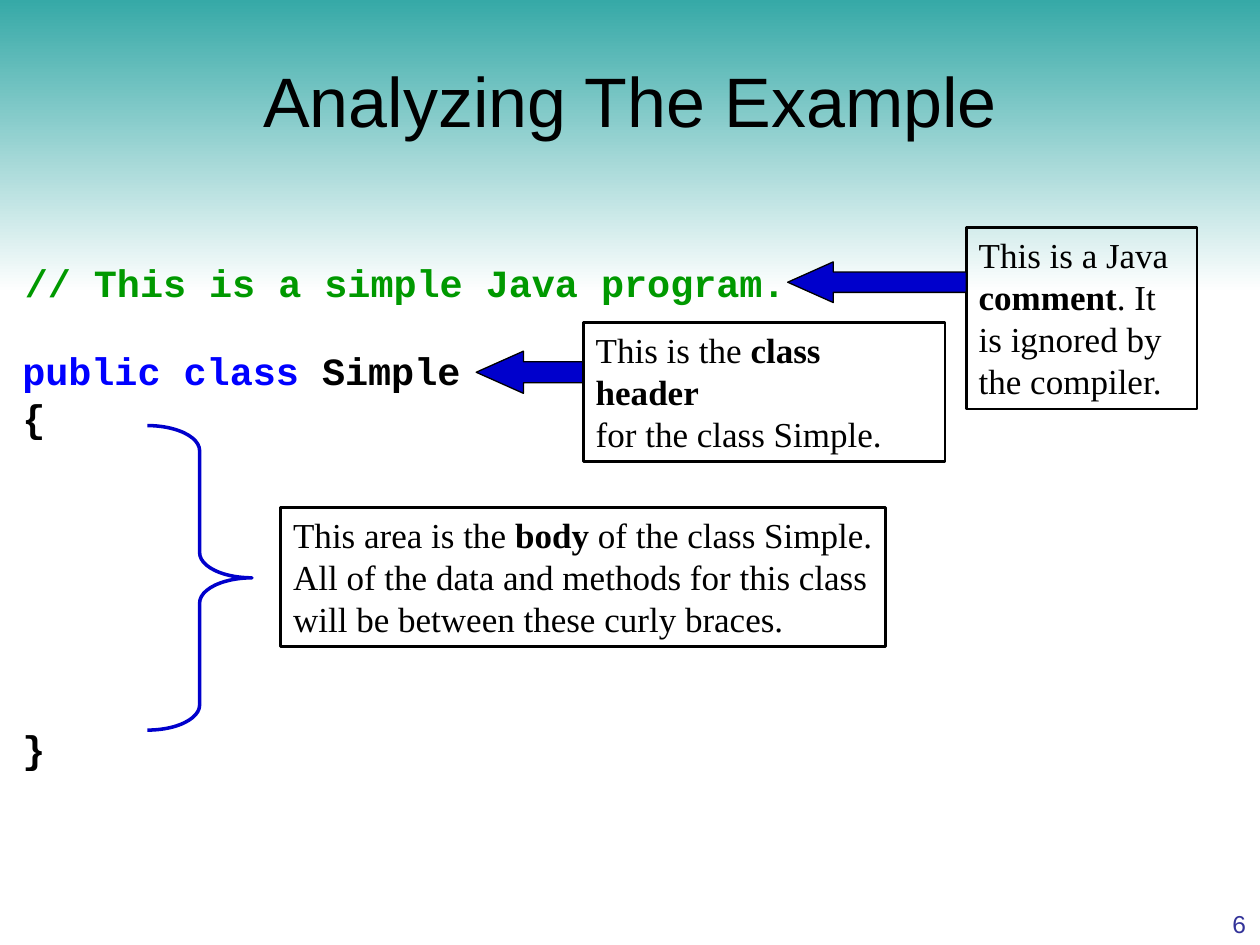
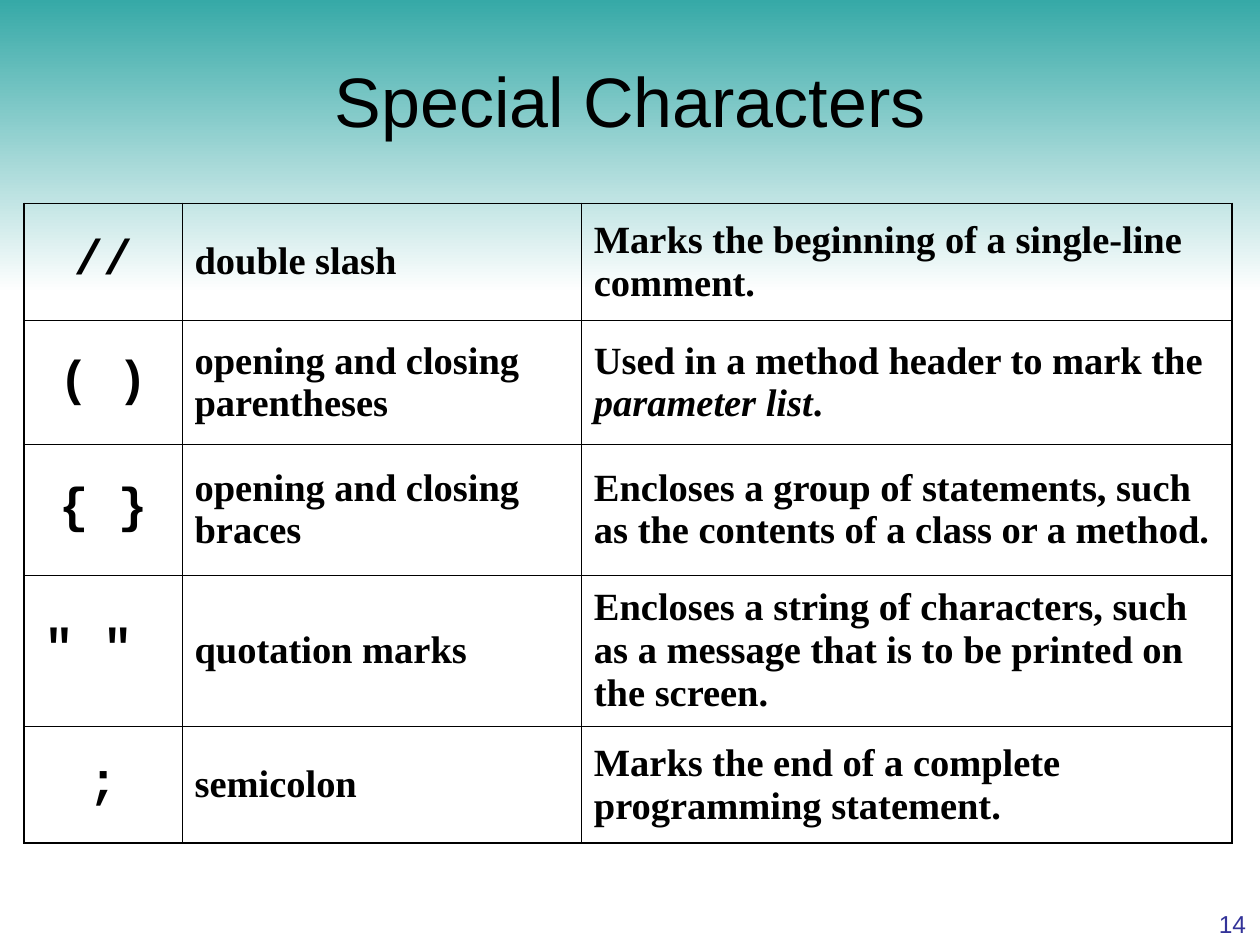
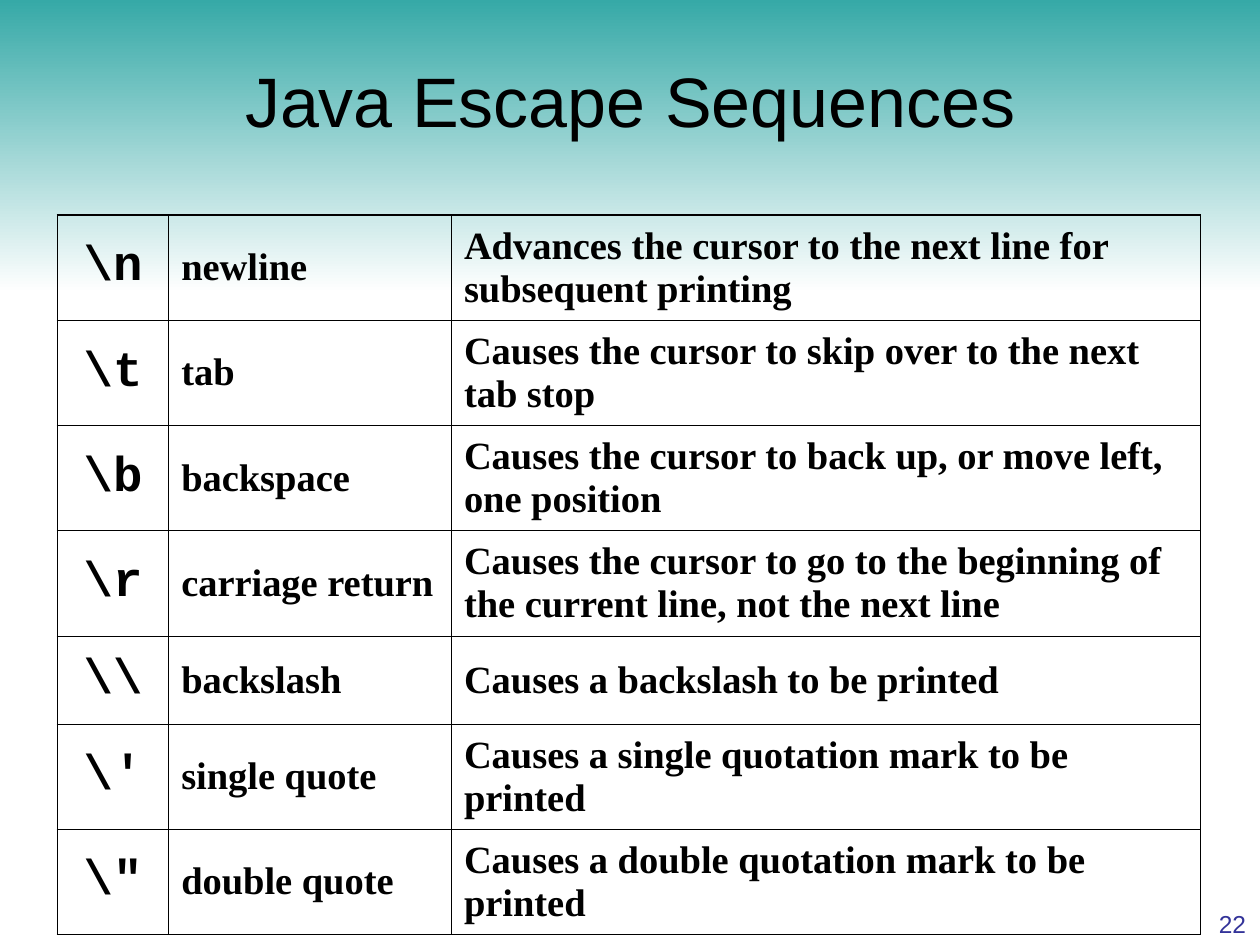
from lxml import etree
from pptx import Presentation
from pptx import util as u
from pptx.dml.color import RGBColor
from pptx.enum import shapes, text
from pptx.oxml.ns import qn

Cm, Pt = u.Cm, u.Pt
WIDTH, HEIGHT = Cm(25.4), Cm(19.05)
COLORS = {
    "black": "000000",
    "white": "FFFFFF",
    "teal": "36A9A7",
    "arrow": "0000CC",
    "keyword": "0000FF",
    "comment": "009900",
    "number": "333399",
}
SANS, SERIF, MONO = "Arial", "Times New Roman", "Courier New"
OUTER_BORDER, INNER_BORDER = Pt(1.08), Pt(0.45)

SPECIAL_CHARACTERS = [
    ("//", "double slash", [("Marks the beginning of a single-line comment.",)]),
    ("( )", "opening and closing parentheses",
     [("Used in a method header to mark the ",),
      ("parameter list", {"italic": True}), (".",)]),
    ("{ }", "opening and closing braces",
     [("Encloses a group of statements, such as the contents of a class or a method.",)]),
    ('" " ', "quotation marks",
     [("Encloses a string of characters, such as a message that is to be "
       "printed on the screen.",)]),
    (";", "semicolon", [("Marks the end of a complete programming statement.",)]),
]
ESCAPE_SEQUENCES = [
    (r"\n", "newline",
     [("Advances the cursor to the next line for subsequent printing",)]),
    (r"\t", "tab", [("Causes the cursor to skip over to the next tab stop",)]),
    (r"\b", "backspace",
     [("Causes the cursor to back up, or move left, one position",)]),
    (r"\r", "carriage return",
     [("Causes the cursor to go to the beginning of the current line, "
       "not the next line",)]),
    (r"\\", "backslash", [("Causes a backslash to be printed",)]),
    (r"\'", "single quote", [("Causes a single quotation mark to be printed",)]),
    (r"\"", "double quote", [("Causes a double quotation mark to be printed",)]),
]


def rgb(name):
    return RGBColor.from_string(COLORS[name])


def add_spans(para, spans, face, size, bold=False, color="black"):
    """Add (text, changes) spans; a newline in the text is a line break."""
    for words, *changes in spans:
        style = {"bold": bold, "italic": False, "color": color}
        style.update(*changes)
        for index, line in enumerate(words.split("\n")):
            if index:
                para.add_line_break()
            if line:
                run = para.add_run()
                run.text = line
                run.font.name = face
                run.font.size = Pt(size)
                run.font.bold = style["bold"]
                run.font.italic = style["italic"]
                run.font.color.rgb = rgb(style["color"])


def place(shape, left, top, width, height):
    shape.left, shape.top = Cm(left), Cm(top)
    shape.width, shape.height = Cm(width), Cm(height)


def add_figure(page, kind, left, top, width, height, fill, line, weight):
    figure = page.shapes.add_shape(kind, Cm(left), Cm(top), Cm(width), Cm(height))
    figure.shadow.inherit = False
    if fill:
        figure.fill.solid()
        figure.fill.fore_color.rgb = rgb(fill)
    else:
        figure.fill.background()
    figure.line.color.rgb = rgb(line)
    figure.line.width = Pt(weight)
    return figure


def add_band(page):
    band = page.shapes.add_shape(shapes.MSO_SHAPE.RECTANGLE, 0, 0, WIDTH, Cm(5.9))
    band.shadow.inherit = False
    band.line.fill.background()
    band.fill.gradient()
    band.fill.gradient_angle = 270
    for stop, name in zip(band.fill.gradient_stops, ("teal", "white")):
        stop.color.rgb = rgb(name)
    page.shapes.title.element.addprevious(band.element)


def add_page(deck, heading, number):
    page = deck.slides.add_slide(deck.slide_layouts[5])
    add_band(page)

    title = page.shapes.title
    place(title, 0, 0.62, 25.4, 2.77)
    title.text_frame.vertical_anchor = text.MSO_ANCHOR.MIDDLE
    para = title.text_frame.paragraphs[0]
    para.alignment = text.PP_ALIGN.CENTER
    add_spans(para, [(heading,)], SANS, 40)

    box = page.shapes.add_textbox(Cm(23.47), Cm(18.2), Cm(1.9), Cm(0.85))
    box.text_frame.word_wrap = True
    box.text_frame.vertical_anchor = text.MSO_ANCHOR.BOTTOM
    para = box.text_frame.paragraphs[0]
    para.alignment = text.PP_ALIGN.RIGHT
    add_spans(para, [(str(number),)], SANS, 14, color="number")
    return page


def add_code(page, left, top, width, height, blocks, gap=0):
    """Add code blocks as paragraphs, gap points apart."""
    box = page.shapes.add_textbox(Cm(left), Cm(top), Cm(width), Cm(height))
    frame = box.text_frame
    frame.word_wrap = False
    for index, spans in enumerate(blocks):
        para = frame.add_paragraph() if index else frame.paragraphs[0]
        if index:
            para.space_before = Pt(gap)
        add_spans(para, spans, MONO, 22, bold=True)


def add_note(page, left, top, width, height, spans, fill=None, wrap=True, right_inset=0.25):
    note = add_figure(page, shapes.MSO_SHAPE.RECTANGLE, left, top, width, height,
                      fill, "black", 1.5)
    frame = note.text_frame
    frame.word_wrap = wrap
    frame.margin_right = Cm(right_inset)
    frame.vertical_anchor = text.MSO_ANCHOR.TOP
    para = frame.paragraphs[0]
    para.alignment = text.PP_ALIGN.LEFT
    add_spans(para, spans, SERIF, 20)


def add_left_arrow(page, left, top, width, height):
    arrow = add_figure(page, shapes.MSO_SHAPE.LEFT_ARROW, left, top, width, height,
                       "arrow", "black", 0.75)
    arrow.adjustments[1] = 1.12


def add_brace(page, left, top, width, height):
    brace = add_figure(page, shapes.MSO_SHAPE.RIGHT_BRACE, left, top, width, height,
                       None, "arrow", 2)
    brace.adjustments[0] = 0.24


def set_borders(cell, outer_sides):
    properties = cell._tc.get_or_add_tcPr()
    for side in "LRTB":
        weight = OUTER_BORDER if side in outer_sides else INNER_BORDER
        line = etree.SubElement(properties, qn(f"a:ln{side}"), w=str(int(weight)))
        fill = etree.SubElement(line, qn("a:solidFill"))
        etree.SubElement(fill, qn("a:srgbClr"), val=COLORS["black"])


def add_symbol_table(page, left, top, widths, heights, rows):
    """Add a table of symbol, name and meaning."""
    frame = page.shapes.add_table(len(rows), len(widths), Cm(left), Cm(top),
                                  Cm(sum(widths)), Cm(sum(heights)))
    table = frame.table
    table.first_row = table.horz_banding = False
    for column, width in zip(table.columns, widths):
        column.width = Cm(width)
    for r, (symbol, name, meaning) in enumerate(rows):
        table.rows[r].height = Cm(heights[r])
        for c, spans in enumerate(([(symbol,)], [(name,)], meaning)):
            cell = table.cell(r, c)
            edges = {"L": c == 0, "R": c == len(widths) - 1,
                     "T": r == 0, "B": r == len(rows) - 1}
            set_borders(cell, [side for side, outer in edges.items() if outer])
            cell.fill.background()
            cell.vertical_anchor = text.MSO_ANCHOR.MIDDLE
            para = cell.text_frame.paragraphs[0]
            if c == 0:
                para.alignment = text.PP_ALIGN.CENTER
                add_spans(para, spans, MONO, 28, bold=True)
            else:
                add_spans(para, spans, SERIF, 22, bold=True)


def build_example(deck):
    page = add_page(deck, "Analyzing The Example", 6)
    bold = {"bold": True}
    add_left_arrow(page, 9.6, 7.08, 3.8, 0.85)
    add_code(page, 0.2, 6.88, 9.53, 8.81,
             [[("public class ", {"color": "keyword"}), ("Simple\n{",)], [("}",)]],
             gap=163)
    add_note(page, 5.66, 10.23, 12.19, 2.8,
             [("This area is the ",), ("body", bold),
              (" of the class Simple.\nAll of the data and methods for this class\n"
               "will be between these curly braces.",)], wrap=False)
    add_brace(page, 2.97, 8.58, 2.11, 6.14)
    add_code(page, 0.25, 5.1, 15.85, 1.2,
             [[("// This is a simple Java program.", {"color": "comment"})]])
    add_note(page, 19.48, 4.59, 4.65, 3.66,
             [("This is a Java ",), ("comment", bold),
              (". It is ignored by the compiler.",)])
    add_left_arrow(page, 15.88, 5.28, 3.6, 0.82)
    add_note(page, 11.76, 6.5, 7.29, 2.8,
             [("This is the ",), ("class header\n", bold), ("for the class Simple.",)],
             fill="white", right_inset=0.4)


def main():
    deck = Presentation()
    deck.slide_width, deck.slide_height = WIDTH, HEIGHT

    build_example(deck)

    page = add_page(deck, "Special Characters", 14)
    add_symbol_table(page, 0.49, 4.1, (3.18, 8.05, 13.12),
                     (2.36, 2.5, 2.63, 3.05, 2.36), SPECIAL_CHARACTERS)

    page = add_page(deck, "Java Escape Sequences", 22)
    add_symbol_table(page, 1.16, 4.34, (2.24, 5.7, 15.1),
                     [2.12] * 4 + [1.78] + [2.12] * 2, ESCAPE_SEQUENCES)

    deck.save("out.pptx")


if __name__ == "__main__":
    main()
